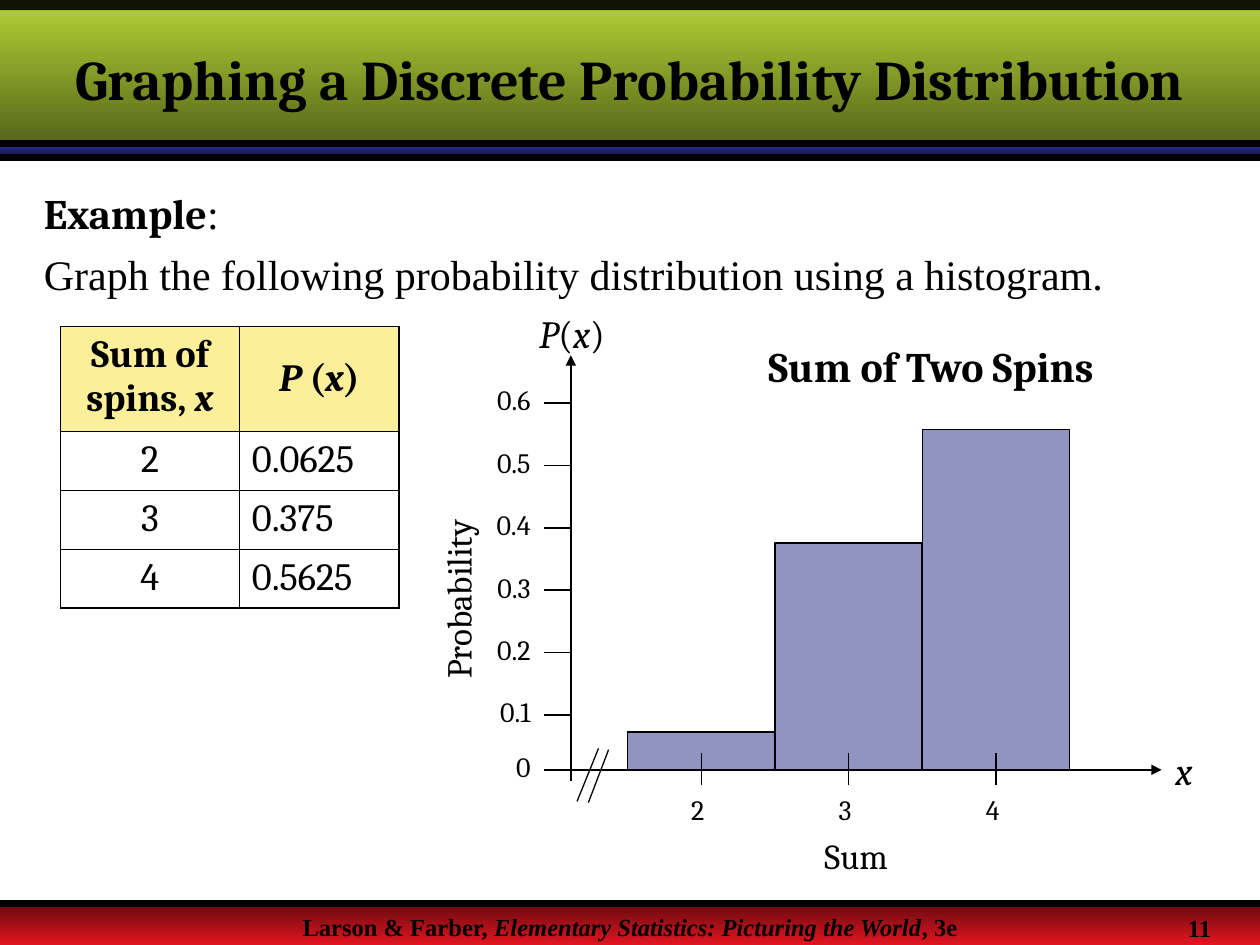
"""Build the slide on graphing a discrete probability distribution."""
from typing import NamedTuple

from lxml.etree import SubElement
from pptx import Presentation
from pptx.dml.color import RGBColor
from pptx.enum.shapes import MSO_CONNECTOR, MSO_SHAPE
from pptx.enum.text import MSO_ANCHOR, PP_ALIGN
from pptx.oxml import parse_xml
from pptx.oxml.ns import nsdecls, qn
from pptx.util import Inches, Pt

COLORS = {
    "ink": "000000", "paper": "FFFFFF", "header": "FBE136", "bar": "242985",
    "green": "B5D335", "olive": "546219", "navy": "11133E",
    "maroon": "680A0F", "red": "E11521",
}
SERIF, TIMES = "Cambria", "Times New Roman"
LEFT, CENTER, RIGHT = PP_ALIGN.LEFT, PP_ALIGN.CENTER, PP_ALIGN.RIGHT
THIN, AXIS, RULE = 0.75, 0.88, 4
INNER, OUTER = 0.45, 1.08
GROUND, AXIS_X, BAR_LEFT, BAR_WIDTH, UNIT = 6.11, 4.53, 4.98, 1.17, 4.8
TOP_TICK, TICK_STEP = 3.2, 0.495


class Span(NamedTuple):
    text: str
    bold: bool = False
    italic: bool = False
    font: str = SERIF


class Band(NamedTuple):
    top: float
    height: float
    start: str
    end: str


class Outcome(NamedTuple):
    total: str
    probability: str


class Segment(NamedTuple):
    x1: float
    y1: float
    x2: float
    y2: float
    weight: float = AXIS
    arrow: bool = False


BANDS = [
    Band(7.17, 0.33, "maroon", "red"),
    Band(1.17, 0.08, "bar", "navy"),
    Band(0, 1.17, "green", "olive"),
]
OUTCOMES = [Outcome("2", "0.0625"), Outcome("3", "0.375"), Outcome("4", "0.5625")]


def rgb(name: str) -> RGBColor:
    return RGBColor.from_string(COLORS[name])


def write(frame, *paragraphs: list[Span], size: float, align=LEFT, gap: float = 0,
          anchor=MSO_ANCHOR.TOP) -> None:
    frame.vertical_anchor = anchor
    for index, spans in enumerate(paragraphs):
        paragraph = frame.add_paragraph() if index else frame.paragraphs[0]
        paragraph.alignment = align
        if index:
            paragraph.space_before = Pt(gap)
        for span in spans:
            run = paragraph.add_run()
            run.text = span.text
            run.font.name, run.font.size = span.font, Pt(size)
            run.font.bold, run.font.italic = span.bold, span.italic
            run.font.color.rgb = rgb("ink")


def add_text(shapes, left: float, top: float, width: float, height: float,
             *paragraphs: list[Span], wrap: bool = True, inset: bool = True,
             rotation: float = 0, **style) -> None:
    box = shapes.add_textbox(*map(Inches, (left, top, width, height)))
    box.rotation = rotation
    frame = box.text_frame
    frame.word_wrap = wrap
    if not inset:
        frame.margin_left = frame.margin_right = 0
        frame.margin_top = frame.margin_bottom = 0
    write(frame, *paragraphs, **style)


def fill_solid(fill, name: str, opacity: int) -> None:
    fill.solid()
    fill.fore_color.rgb = rgb(name)
    color = fill._xPr.find(qn("a:solidFill"))[0]
    SubElement(color, qn("a:alpha"), val=str(opacity * 1000))


def add_box(shapes, left: float, top: float, width: float, height: float):
    box = shapes.add_shape(MSO_SHAPE.RECTANGLE, *map(Inches, (left, top, width, height)))
    box.shadow.inherit = False
    box.line.fill.background()
    return box


def add_band(shapes, band: Band) -> None:
    fill = add_box(shapes, 0, band.top, 10, band.height).fill
    fill.gradient()
    fill.gradient_angle = 270
    for stop, name in zip(fill.gradient_stops, (band.start, band.end)):
        stop.color.rgb = rgb(name)


def add_line(shapes, segment: Segment) -> None:
    line = shapes.add_connector(MSO_CONNECTOR.STRAIGHT, *map(Inches, segment[:4]))
    line.line.color.rgb = rgb("ink")
    line.line.width = Pt(segment.weight)
    properties = line._element.spPr
    if segment.arrow:
        SubElement(properties.find(qn("a:ln")), qn("a:headEnd"), type="triangle")
    SubElement(properties, qn("a:effectLst"))


def set_borders(cell, widths: dict[str, float]) -> None:
    properties = cell._tc.get_or_add_tcPr()
    for index, (side, width) in enumerate(widths.items()):
        properties.insert(index, parse_xml(
            f'<a:{side} {nsdecls("a")} w="{Pt(width)}"><a:solidFill>'
            f'<a:srgbClr val="{COLORS["ink"]}"/></a:solidFill></a:{side}>'))


def draw_frame(shapes) -> None:
    for band in BANDS:
        add_band(shapes, band)
    fill_solid(add_box(shapes, 0, 0, 10, 0.08).fill, "ink", 90)
    for y in (1.14, 1.25, 7.17):
        add_line(shapes, Segment(0, y, 10, y, RULE))
    add_text(shapes, 0, 7.19, 10, 0.2,
             [Span("Larson & Farber, ", True, font=TIMES),
              Span("Elementary Statistics: Picturing the World", True, True, TIMES),
              Span(", 3e", True, font=TIMES)], size=14, align=CENTER)
    add_text(shapes, 9.33, 7.2, 0.6, 0.34, [Span("11", True, font=TIMES)], size=14)


def draw_table(shapes) -> None:
    rows = [([Span("Sum of spins,", True), Span(" x", True, True)],
             [Span("P", True, True), Span(" (", True), Span("x", True, True), Span(")", True)])]
    rows += [([Span(o.total)], [Span(o.probability)]) for o in OUTCOMES]
    table = shapes.add_table(len(rows), 2, *map(Inches, (0.48, 2.59, 2.69, 1.83))).table
    table.first_row = table.horz_banding = False
    for column, width in zip(table.columns, (1.42, 1.27)):
        column.width = Inches(width)
    last = len(rows) - 1
    for r, row in enumerate(rows):
        table.rows[r].height = Inches(0.37 if r else 0.73)
        for c, spans in enumerate(row):
            cell = table.cell(r, c)
            if r:
                cell.fill.background()
            else:
                fill_solid(cell.fill, "header", 50)
            write(cell.text_frame, spans, size=22, align=LEFT if r and c else CENTER)
            cell.vertical_anchor = MSO_ANCHOR.TOP if r or not c else MSO_ANCHOR.MIDDLE
            outside = {"lnL": c == 0, "lnR": c == 1, "lnT": r == 0, "lnB": r == last}
            set_borders(cell, {side: OUTER if out else INNER for side, out in outside.items()})


def draw_histogram(shapes) -> None:
    for index, outcome in enumerate(OUTCOMES):
        height = float(outcome.probability) * UNIT
        bar = add_box(shapes, BAR_LEFT + index * BAR_WIDTH, GROUND - height, BAR_WIDTH, height)
        fill_solid(bar.fill, "bar", 50)
        bar.line.color.rgb = rgb("ink")
        bar.line.width = Pt(AXIS)
    for index, outcome in enumerate(OUTCOMES):
        middle = BAR_LEFT + (index + 0.5) * BAR_WIDTH
        add_line(shapes, Segment(middle, 5.98, middle, 6.23, THIN))
        add_text(shapes, middle - 0.08, 6.29, 0.12, 0.27, [Span(outcome.total)],
                 size=16, wrap=False, inset=False)
    ticks = {f"0.{6 - step}": TOP_TICK + step * TICK_STEP for step in range(6)} | {"0": GROUND}
    for label, y in ticks.items():
        add_line(shapes, Segment(4.32, y, AXIS_X, y))
        add_text(shapes, 3.86, y - 0.16, 0.35, 0.27, [Span(label)],
                 size=16, align=RIGHT, inset=False)
    for segment in (Segment(AXIS_X, 2.82, AXIS_X, 6.2, arrow=True),
                    Segment(9.22, GROUND, 4.47, GROUND, arrow=True),
                    Segment(4.75, 5.94, 4.58, 6.36, THIN),
                    Segment(4.83, 5.95, 4.67, 6.37, THIN)):
        add_line(shapes, segment)
    add_text(shapes, 6, 2.65, 3.48, 0.5, [Span("Sum of Two Spins", True)], size=24)
    add_text(shapes, 9.23, 5.88, 0.35, 0.47, [Span("x", italic=True)], size=22, wrap=False)
    add_text(shapes, 2.76, 4.39, 1.75, 0.44, [Span("Probability")], size=20, rotation=270)
    add_text(shapes, 5.92, 6.57, 1.75, 0.44, [Span("Sum")], size=20, align=CENTER)
    add_text(shapes, 4.18, 2.41, 0.87, 0.47,
             [Span("P", italic=True), Span("("), Span("x", italic=True), Span(")")], size=22)


def main() -> None:
    deck = Presentation()
    deck.slide_width, deck.slide_height = Inches(10), Inches(7.5)
    slide = deck.slides.add_slide(deck.slide_layouts[5])
    slide.background.fill.solid()
    slide.background.fill.fore_color.rgb = rgb("paper")
    shapes = slide.shapes
    draw_frame(shapes)
    title = shapes.title
    title.left, title.top, title.width, title.height = map(Inches, (0, 0.08, 10, 1.08))
    write(title.text_frame, [Span("Graphing a Discrete Probability Distribution", True)],
          size=32, align=CENTER, anchor=MSO_ANCHOR.MIDDLE)
    title.element.getparent().append(title.element)
    add_text(shapes, 0.25, 1.44, 9.45, 0.65,
             [Span("Example", True), Span(":", font=TIMES)],
             [Span("Graph the following probability distribution using a histogram.", font=TIMES)],
             size=24, gap=6)
    draw_table(shapes)
    draw_histogram(shapes)
    deck.save("out.pptx")


if __name__ == "__main__":
    main()
